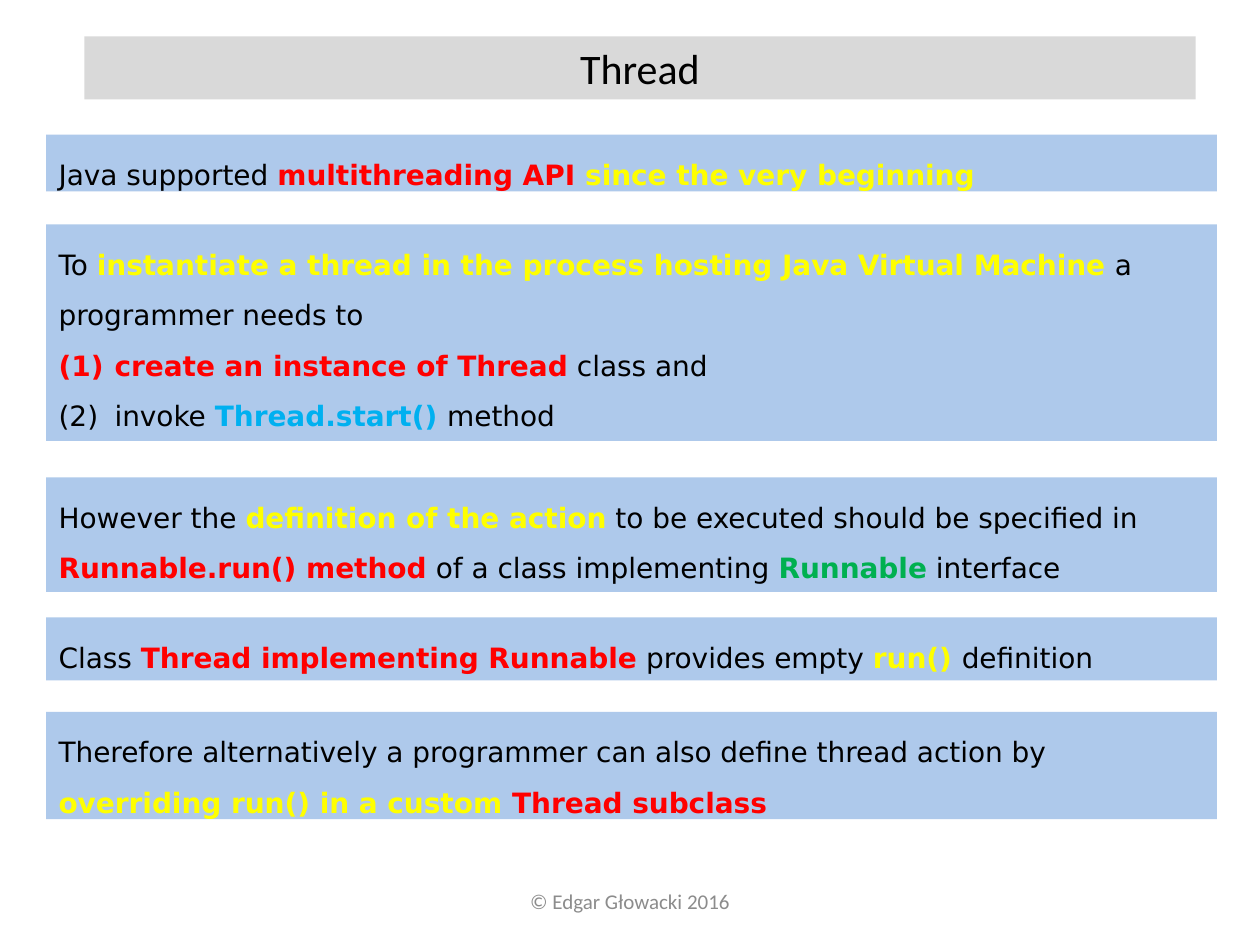
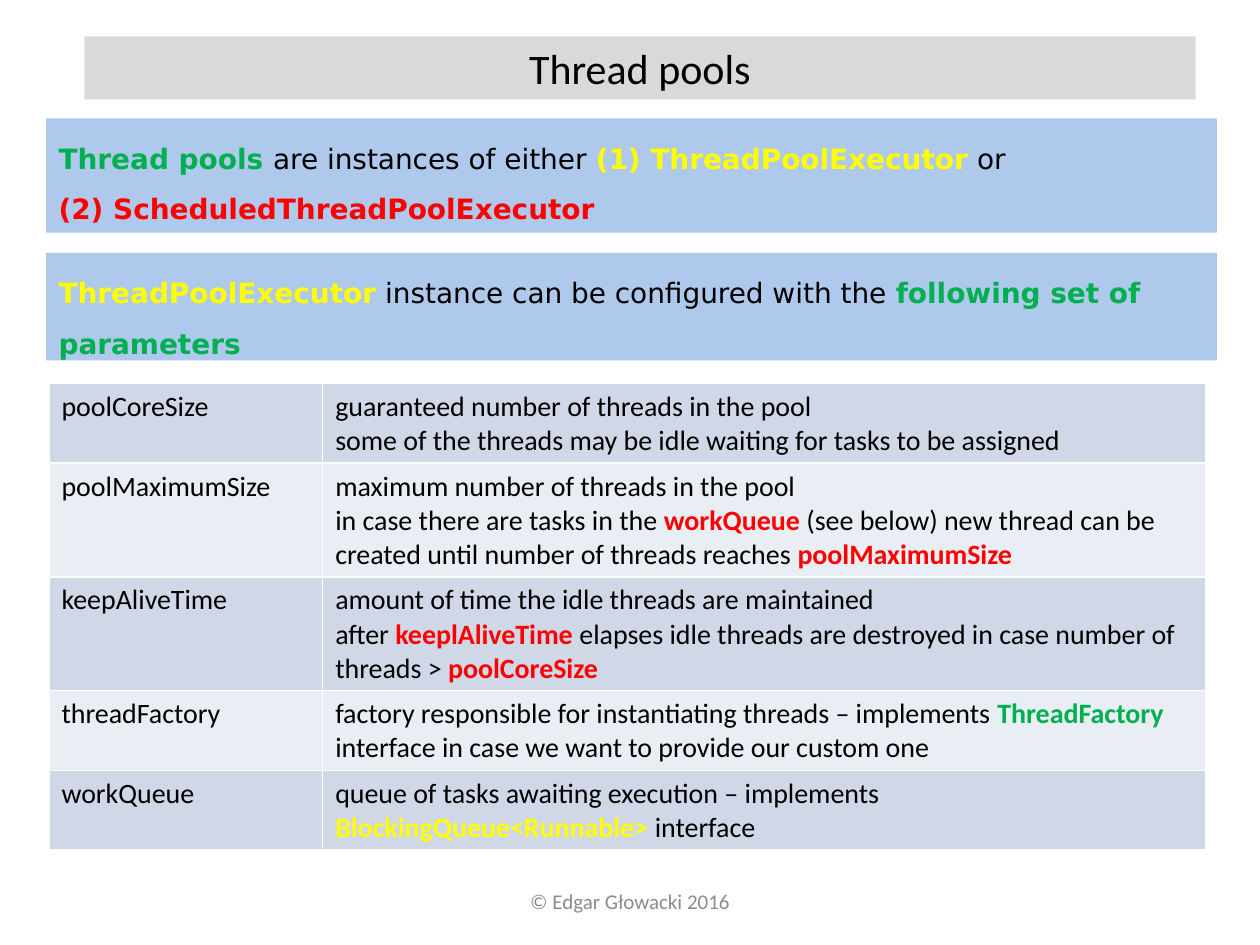
from dataclasses import dataclass

from lxml import etree
from pptx import Presentation
from pptx.dml.color import RGBColor
from pptx.enum import shapes, text
from pptx.oxml.ns import qn
from pptx.util import Pt


@dataclass(frozen=True)
class Theme:
    heading_font: str = "Calibri"
    body_font: str = "DejaVu Sans"
    title_size: int = 24
    body_size: int = 16
    footer_size: int = 12
    black: str = "000000"
    white: str = "FFFFFF"
    red: str = "FF0000"
    yellow: str = "FFFF00"
    green: str = "00B050"
    blue: str = "00B0F0"
    title_fill: str = "D9D9D9"
    band_fill: str = "8EB4E3"
    band_opacity: int = 71
    row_fills: tuple = ("D0D8E8", "E9EDF4")
    footer: str = "8C8C8C"


THEME = Theme()
TITLE_ONLY = 5
BAND_LEFT, BAND_WIDTH = 26.4, 669
NUMBER_INDENT = 32


def red(words):
    return words, THEME.red


def yellow(words):
    return words, THEME.yellow


def green(words):
    return words, THEME.green


def blue(words):
    return words, THEME.blue


def add_element(parent, tag, **attributes):
    return etree.SubElement(parent, qn(tag), attributes)


def fill_solid(target, colour):
    target.fill.solid()
    target.fill.fore_color.rgb = RGBColor.from_string(colour)


def number_paragraph(paragraph):
    properties = paragraph._p.get_or_add_pPr()
    properties.set("marL", str(Pt(NUMBER_INDENT)))
    properties.set("indent", str(-Pt(NUMBER_INDENT)))
    add_element(properties, "a:buAutoNum", type="arabicParenBoth")


def write_text(frame, paragraphs, *, font=THEME.body_font, size=THEME.body_size,
               colour=THEME.black, align=text.PP_ALIGN.LEFT, spacing=None,
               anchor=text.MSO_ANCHOR.TOP, numbered=()):
    """Fill a frame; each paragraph lists plain strings and bold (words, colour) pairs."""
    frame.word_wrap = True
    frame.vertical_anchor = anchor
    for index, parts in enumerate(paragraphs):
        paragraph = frame.add_paragraph() if index else frame.paragraphs[0]
        paragraph.alignment = align
        if spacing:
            paragraph.line_spacing = spacing
        if index in numbered:
            number_paragraph(paragraph)
        for part in parts:
            plain = isinstance(part, str)
            words, run_colour = (part, colour) if plain else part
            run = paragraph.add_run()
            run.text = words
            run.font.name = font
            run.font.size = Pt(size)
            run.font.bold = not plain
            run.font.color.rgb = RGBColor.from_string(run_colour)


def add_titled_slide(presentation, title):
    """Add a slide with the grey title bar and the copyright footer."""
    slide = presentation.slides.add_slide(presentation.slide_layouts[TITLE_ONLY])
    bar = slide.shapes.title
    bar.left, bar.top, bar.width, bar.height = Pt(48.2), Pt(20.8), Pt(635), Pt(36)
    fill_solid(bar, THEME.title_fill)
    bar.text_frame.auto_size = text.MSO_AUTO_SIZE.NONE
    write_text(bar.text_frame, [[title]], font=THEME.heading_font,
               size=THEME.title_size, align=text.PP_ALIGN.CENTER)
    footer = slide.shapes.add_textbox(Pt(246), Pt(500.4), Pt(228), Pt(28.8))
    write_text(footer.text_frame, [["© Edgar Głowacki 2016"]],
               font=THEME.heading_font, size=THEME.footer_size, colour=THEME.footer,
               align=text.PP_ALIGN.CENTER, anchor=text.MSO_ANCHOR.MIDDLE)
    return slide


def add_band(slide, top, height, paragraphs, numbered=()):
    band = slide.shapes.add_shape(shapes.MSO_SHAPE.RECTANGLE, Pt(BAND_LEFT), Pt(top),
                                  Pt(BAND_WIDTH), Pt(height))
    band.shadow.inherit = False
    band.line.fill.background()
    fill_solid(band, THEME.band_fill)
    colour = band._element.spPr.find(qn("a:solidFill"))[0]
    add_element(colour, "a:alpha", val=str(THEME.band_opacity * 1000))
    write_text(band.text_frame, paragraphs, spacing=1.5, numbered=numbered)


def add_cell_borders(cell):
    properties = cell._tc.get_or_add_tcPr()
    for side in ("a:lnL", "a:lnR", "a:lnT", "a:lnB"):
        line = add_element(properties, side, w=str(Pt(1)))
        add_element(add_element(line, "a:solidFill"), "a:srgbClr", val=THEME.white)


def add_parameter_table(slide, parameters, row_heights):
    column_widths = (156.4, 504.6)
    frame = slide.shapes.add_table(len(parameters), 2, Pt(28), Pt(219),
                                   Pt(sum(column_widths)), Pt(sum(row_heights)))
    table = frame.table
    table.first_row = table.horz_banding = False
    for column, width in zip(table.columns, column_widths):
        column.width = Pt(width)
    for index, (name, description) in enumerate(parameters):
        table.rows[index].height = Pt(row_heights[index])
        for column, paragraphs in enumerate(([[name]], description)):
            cell = table.cell(index, column)
            add_cell_borders(cell)
            fill_solid(cell, THEME.row_fills[index % 2])
            write_text(cell.text_frame, paragraphs, font=THEME.heading_font)


def build_thread_slide(presentation):
    slide = add_titled_slide(presentation, "Thread")
    add_band(slide, 77, 32.4, [
        ["Java supported ", red("multithreading API "),
         yellow("since the very beginning")]])
    add_band(slide, 128.2, 123.8, [
        ["To ", yellow("instantiate a thread in the process hosting Java Virtual Machine"),
         " a programmer needs to"],
        [red("create an instance of Thread"), " class and"],
        ["invoke ", blue("Thread.start() "), "method"]], numbered=(1, 2))
    add_band(slide, 272.8, 65.4, [
        ["However the ", yellow("definition of the action"),
         " to be executed should be specified in ", red("Runnable.run() method"),
         " of a class implementing ", green("Runnable"), " interface"]])
    add_band(slide, 352.8, 36, [
        ["Class ", red("Thread implementing Runnable"), " provides empty ",
         yellow("run() "), "definition"]])
    add_band(slide, 406.8, 61.4, [
        ["Therefore alternatively a programmer can also define thread action by ",
         yellow("overriding run() in a custom "), red("Thread subclass")]])


def build_thread_pools_slide(presentation):
    slide = add_titled_slide(presentation, "Thread pools")
    add_band(slide, 67.6, 65.4, [
        [green("Thread pools "), "are instances of either ",
         yellow("(1) ThreadPoolExecutor"), " or"],
        [red("(2) ScheduledThreadPoolExecutor")]])
    parameters = [
        ("poolCoreSize", [
            ["guaranteed number of threads in the pool"],
            ["some of the threads may be idle waiting for tasks to be assigned"]]),
        ("poolMaximumSize", [
            ["maximum number of threads in the pool"],
            ["in case there are tasks in the ", red("workQueue "),
             "(see below) new thread can be created until number of threads reaches ",
             red("poolMaximumSize")]]),
        ("keepAliveTime", [
            ["amount of time the idle threads are maintained"],
            ["after ", red("keeplAliveTime "),
             "elapses idle threads are destroyed in case number of threads > ",
             red("poolCoreSize")]]),
        ("threadFactory", [
            ["factory responsible for instantiating threads – implements ",
             green("ThreadFactory "),
             "interface in case we want to provide our custom one"]]),
        ("workQueue", [
            ["queue of tasks awaiting execution – implements ",
             yellow("BlockingQueue<Runnable> "), "interface"]]),
    ]
    add_parameter_table(slide, parameters, row_heights=(45, 65, 65, 45, 45))
    add_band(slide, 144.6, 61.4, [
        [yellow("ThreadPoolExecutor"), " instance can be configured with the ",
         green("following set of parameters")]])


def main():
    presentation = Presentation()
    presentation.slide_width, presentation.slide_height = Pt(720), Pt(540)
    build_thread_slide(presentation)
    build_thread_pools_slide(presentation)
    presentation.save("out.pptx")


if __name__ == "__main__":
    main()
